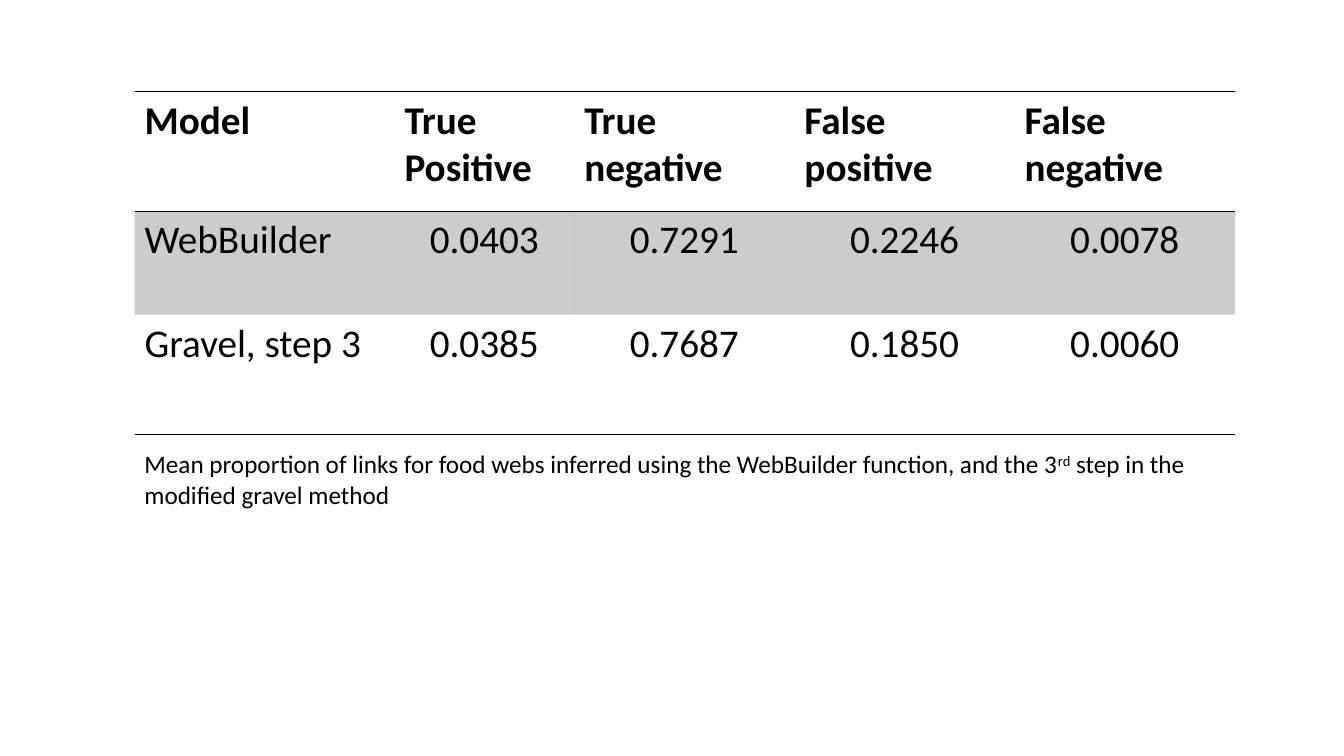
"""Build a slide with a table of mean link proportions for two food web models."""
import lxml.etree
import pptx
import pptx.dml.color
import pptx.enum.text
import pptx.oxml.ns
import pptx.util

Cm = pptx.util.Cm
qn = pptx.oxml.ns.qn
COLORS = {"ink": "000000"}
INK = pptx.dml.color.RGBColor.from_string(COLORS["ink"])
PLAIN_STYLE = "{2D5ABB26-0587-4C30-8999-92F81FD0307C}"


def add_span(para, text, size, bold=False):
    span = para.add_run()
    span.text = text
    span.font.name = "Calibri"
    span.font.size = pptx.util.Pt(size)
    span.font.bold = bold
    span.font.color.rgb = INK
    return span


def add_border(cell, side, position):
    line = lxml.etree.Element(qn(f"a:{side}"), w=str(pptx.util.Pt(1)))
    fill = lxml.etree.SubElement(line, qn("a:solidFill"))
    lxml.etree.SubElement(fill, qn("a:srgbClr"), val=COLORS["ink"])
    cell._tc.get_or_add_tcPr().insert(position, line)


deck = pptx.Presentation()
deck.slide_width = Cm(33.87)
deck.slide_height = Cm(19.05)
page = deck.slides.add_slide(deck.slide_layouts[6])

rows = [
    ["Model", "True Positive", "True negative", "False positive", "False negative"],
    ["WebBuilder", "0.0403", "0.7291", "0.2246", "0.0078"],
    ["Gravel, step 3", "0.0385", "0.7687", "0.1850", "0.0060"],
]
column_widths = [6.55, 4.53, 5.55, 5.55, 5.55]
row_heights = [3.02, 2.6, 3.02]
left = Cm(3.39)

frame = page.shapes.add_table(
    len(rows), len(column_widths), left, Cm(2.31),
    Cm(sum(column_widths)), Cm(sum(row_heights)))
table = frame.table
table.horz_banding = False
table._tbl.tblPr.find(qn("a:tableStyleId")).text = PLAIN_STYLE
for column, width in zip(table.columns, column_widths):
    column.width = Cm(width)
for row, height in zip(table.rows, row_heights):
    row.height = Cm(height)

for row_index, values in enumerate(rows):
    is_header = row_index == 0
    is_shaded = row_index == 1
    for column_index, value in enumerate(values):
        cell = table.cell(row_index, column_index)
        para = cell.text_frame.paragraphs[0]
        add_span(para, value, 28, bold=is_header)
        if not is_header and column_index > 0:
            para.alignment = pptx.enum.text.PP_ALIGN.CENTER
        if is_shaded:
            cell.fill.solid()
            cell.fill.fore_color.rgb = INK
            tint = cell._tc.tcPr.find(f".//{qn('a:srgbClr')}")
            lxml.etree.SubElement(tint, qn("a:alpha"), val="20000")
        else:
            cell.fill.background()
            add_border(cell, "lnB", 0)
        if is_header:
            add_border(cell, "lnT", 0)

caption = page.shapes.add_textbox(left, Cm(11.18), Cm(27.91), Cm(1.8))
caption.text_frame.word_wrap = True
para = caption.text_frame.paragraphs[0]
add_span(para, "Mean proportion of links for food webs inferred using the "
               "WebBuilder function, and the 3", 18)
ordinal = add_span(para, "rd", 18)
ordinal._r.get_or_add_rPr().set("baseline", "30000")
add_span(para, " step in the modified gravel method", 18)

deck.save("out.pptx")
